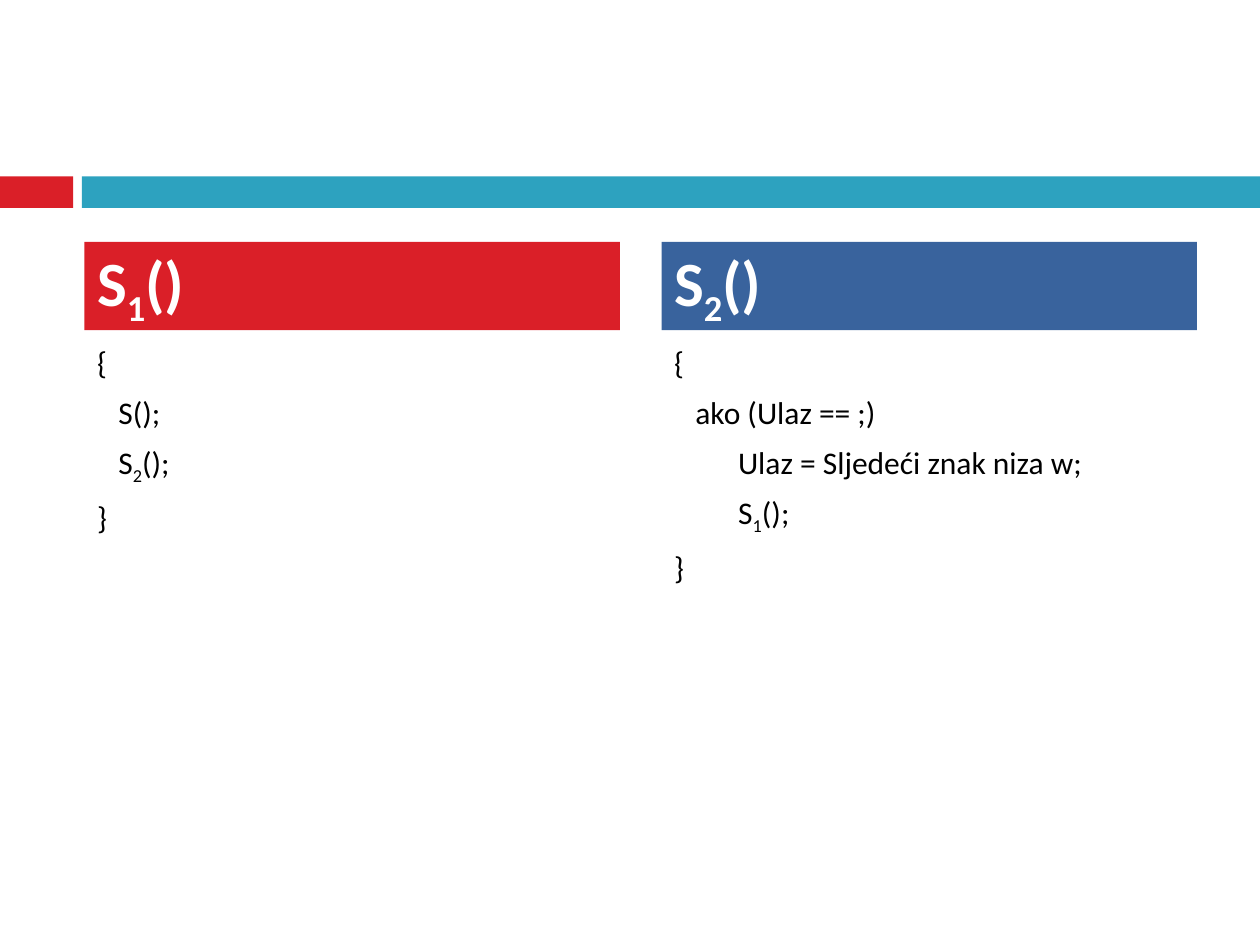
import pptx
import pptx.util
import pptx.dml.color
import pptx.enum.shapes
import pptx.enum.text
from pptx.util import Inches

COLORS = {"red": "DA1F28", "teal": "2DA2BF", "blue": "39639D",
          "heading": "FFFFFF", "code": "000000"}
FONT = "Calibri"
BANDS = [(0, 0.58, "red"), (0.65, 9.35, "teal")]
PROCEDURES = [
    {"heading": ["S", "1", "()"], "fill": "red", "slots": (1, 2),
     "code": [["{"], ["   S();"], ["   S", "2", "();"], ["}"]]},
    {"heading": ["S", "2", "()"], "fill": "blue", "slots": (3, 4),
     "code": [["{"], ["   ako (Ulaz == ;)"],
              ["         Ulaz = Sljedeći znak niza w;"],
              ["         S", "1", "();"], ["}"]]},
]
LEFT, COLUMN_STEP, COLUMN_WIDTH = 0.67, 4.58, 4.25
HEADING_TOP, HEADING_HEIGHT = 1.92, 0.7
CODE_TOP, CODE_HEIGHT = 2.67, 3.92
CODE_INDENT = 0.35


def rgb(name):
    return pptx.dml.color.RGBColor.from_string(COLORS[name])


def paint(shape, color):
    shape.fill.solid()
    shape.fill.fore_color.rgb = rgb(color)
    shape.line.fill.background()


def place(shape, left, top, width, height):
    shape.left, shape.top = Inches(left), Inches(top)
    shape.width, shape.height = Inches(width), Inches(height)


def write(shape, lines, size, color, bold, anchor, indent):
    frame = shape.text_frame
    frame.word_wrap = True
    frame.auto_size = pptx.enum.text.MSO_AUTO_SIZE.NONE
    frame.vertical_anchor = anchor
    for row, parts in enumerate(lines):
        paragraph = frame.add_paragraph() if row else frame.paragraphs[0]
        properties = paragraph._p.get_or_add_pPr()
        properties.set("marL", str(Inches(indent)))
        properties.set("indent", str(-Inches(indent)))
        properties.append(pptx.oxml.parse_xml(
            '<a:buNone xmlns:a="http://schemas.openxmlformats.org/drawingml/2006/main"/>'))
        paragraph.space_before = pptx.util.Pt(7 if row else 0)
        for position, text in enumerate(parts):
            run = paragraph.add_run()
            run.text = text
            run.font.name = FONT
            run.font.size = pptx.util.Pt(size)
            run.font.bold = bold
            run.font.color.rgb = rgb(color)
            if position == 1:
                run._r.get_or_add_rPr().set("baseline", "-25000")


def main():
    deck = pptx.Presentation()
    deck.slide_width, deck.slide_height = Inches(10), Inches(7.5)
    slide = deck.slides.add_slide(deck.slide_layouts[4])
    title = slide.shapes.title
    title.element.getparent().remove(title.element)

    for left, width, color in BANDS:
        band = slide.shapes.add_shape(
            pptx.enum.shapes.MSO_SHAPE.RECTANGLE,
            Inches(left), Inches(1.4), Inches(width), Inches(0.25))
        band.shadow.inherit = False
        paint(band, color)

    anchors = pptx.enum.text.MSO_ANCHOR
    slots = {slot.placeholder_format.idx: slot for slot in slide.placeholders}
    for column, procedure in enumerate(PROCEDURES):
        left = LEFT + column * COLUMN_STEP
        heading, code = (slots[idx] for idx in procedure["slots"])
        place(heading, left, HEADING_TOP, COLUMN_WIDTH, HEADING_HEIGHT)
        paint(heading, procedure["fill"])
        write(heading, [procedure["heading"]], 36, "heading", True, anchors.MIDDLE, 0)
        place(code, left, CODE_TOP, COLUMN_WIDTH, CODE_HEIGHT)
        write(code, procedure["code"], 18, "code", False, anchors.TOP, CODE_INDENT)

    deck.save("out.pptx")


if __name__ == "__main__":
    main()
